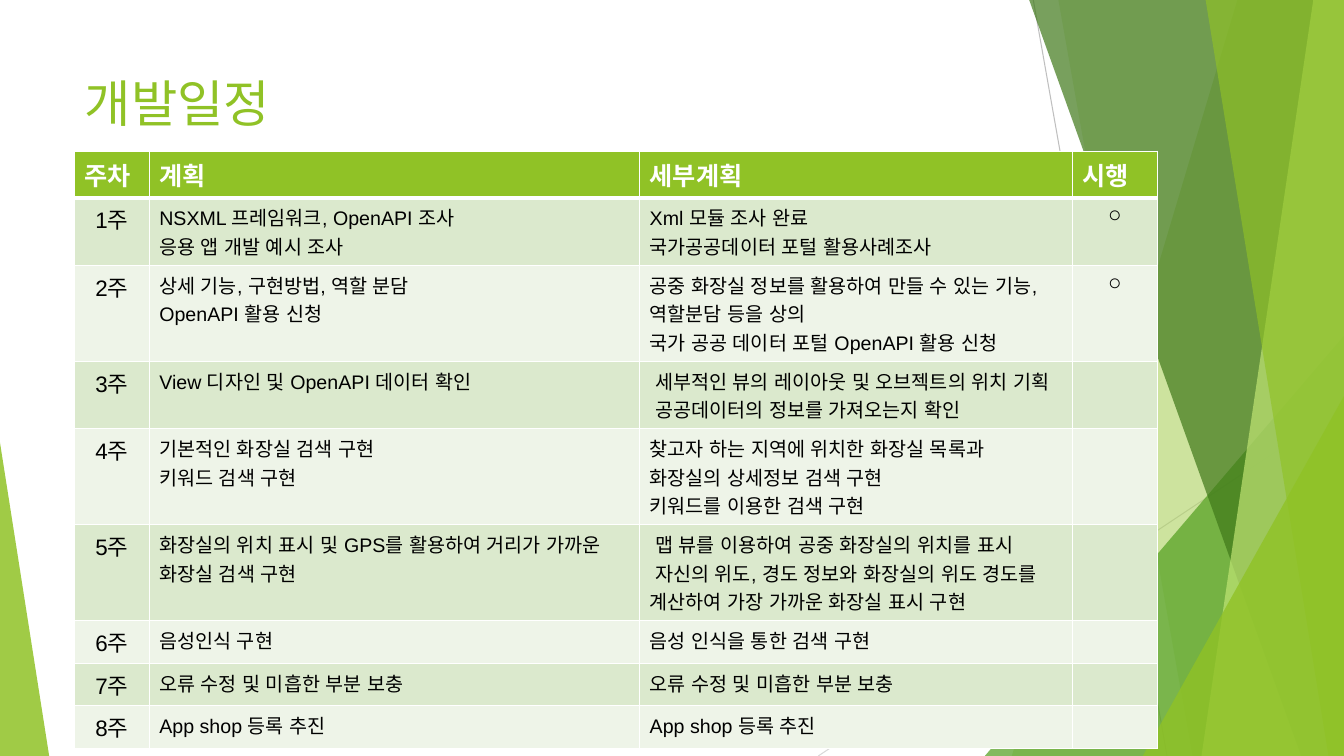
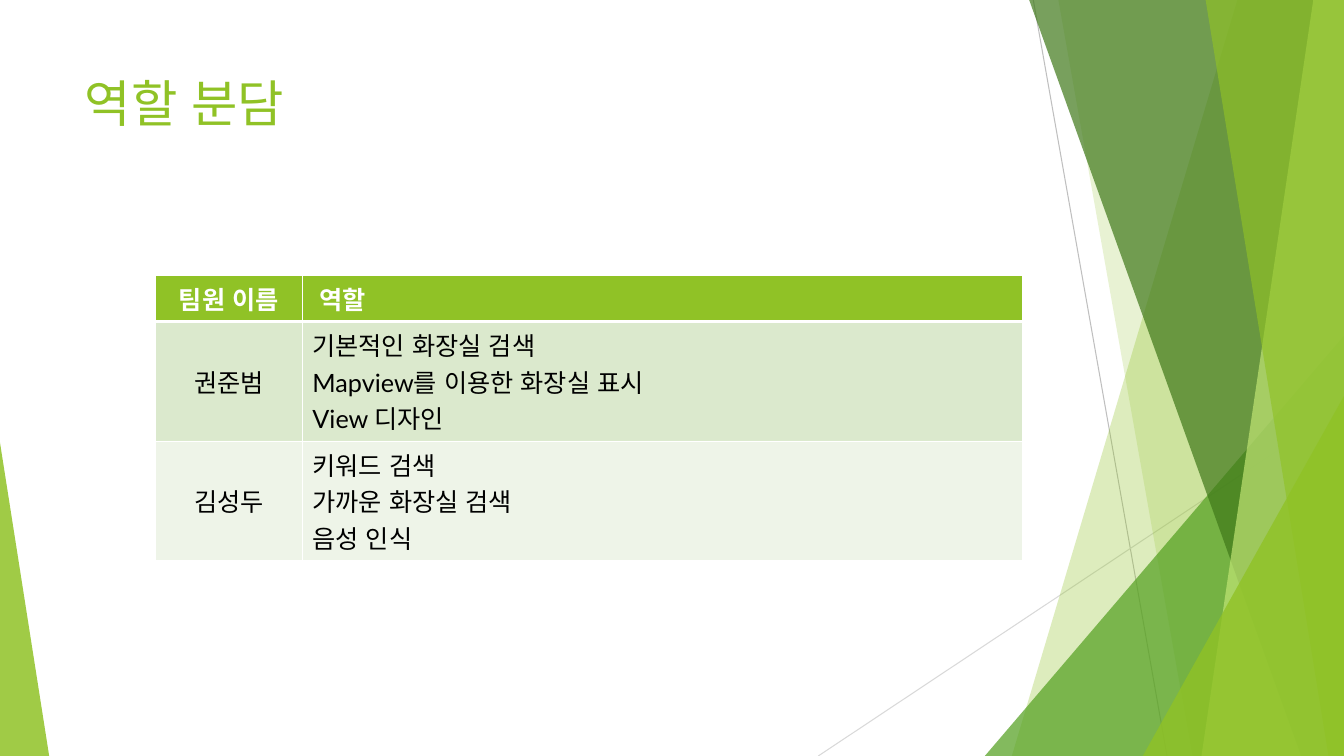
"""Build the development schedule and role sharing slides of an app project."""
from dataclasses import dataclass

from lxml import etree
from pptx import Presentation
from pptx import util as u
from pptx.dml.color import RGBColor
from pptx.enum import lang, shapes, text
from pptx.oxml.ns import qn

COLOURS = {
    "green": "90C226", "leaf": "54A021", "forest": "3F7819", "lime": "C0E474",
    "white": "FFFFFF", "black": "000000", "odd_row": "DBE9CD",
    "even_row": "EEF4E8", "dark_line": "BFBFBF", "light_line": "D9D9D9",
}
WIDTH, HEIGHT, BAND_TOP = 33.87, 19.05, -0.02
TITLE_BOX = (1.88, 1.7, 23.88, 3.66)
LEFT, CENTRE = text.PP_ALIGN.LEFT, text.PP_ALIGN.CENTER
TOP, MIDDLE = text.MSO_ANCHOR.TOP, text.MSO_ANCHOR.MIDDLE


@dataclass(frozen=True)
class Ray:
    start: tuple[float, float]
    end: tuple[float, float]
    colour: str


@dataclass(frozen=True)
class Band:
    top_x: float
    bottom_x: float
    colour: str
    opacity: int


@dataclass(frozen=True)
class Wedge:
    box: tuple[float, float, float, float]
    peak: float
    colour: str
    opacity: int


@dataclass(frozen=True)
class Column:
    heading: str
    width: float
    size: int
    align: text.PP_ALIGN = LEFT
    heading_align: text.PP_ALIGN = LEFT
    anchor: text.MSO_ANCHOR = TOP


@dataclass(frozen=True)
class Page:
    title: str
    left: float
    top: float
    font: str
    columns: list[Column]
    heights: list[float]
    rows: list[tuple[str, ...]]


DECORATION = [
    Ray((26.04, 0), (29.41, HEIGHT), "dark_line"),
    Ray((WIDTH, 10.24), (20.62, HEIGHT), "light_line"),
    Band(31.19, 25.5, "green", 30),
    Band(26.67, 30.05, "green", 20),
    Wedge((24.82, 8.46, 9.05, 10.59), 1, "leaf", 72),
    Band(25.93, 32.79, "forest", 70),
    Band(33.1, 30.28, "lime", 70),
    Band(30.38, 33.48, "green", 65),
    Wedge((28.8, 9.98, 5.07, 9.07), 1, "green", 80),
    Wedge((0, 11.15, 1.24, 7.9), 0, "green", 85),
]

SCHEDULE = Page(
    "개발일정", 1.88, 3.81, "Arial",
    [Column("주차", 1.88, 16, CENTRE), Column("계획", 12.36, 14),
     Column("세부계획", 10.9, 14), Column("시행", 2.15, 16, CENTRE)],
    [1.16, 1.7, 2.42, 1.7, 2.42, 2.42, 1.07, 1.07, 1.05],
    [
        ("1주", "NSXML 프레임워크, OpenAPI 조사\n응용 앱 개발 예시 조사",
         "Xml 모듈 조사 완료\n국가공공데이터 포털 활용사례조사", "○"),
        ("2주", "상세 기능, 구현방법, 역할 분담\nOpenAPI 활용 신청",
         "공중 화장실 정보를 활용하여 만들 수 있는 기능, 역할분담 등을 상의\n"
         "국가 공공 데이터 포털 OpenAPI 활용 신청", "○"),
        ("3주", "View 디자인 및 OpenAPI 데이터 확인",
         " 세부적인 뷰의 레이아웃 및 오브젝트의 위치 기획\n"
         " 공공데이터의 정보를 가져오는지 확인", ""),
        ("4주", "기본적인 화장실 검색 구현\n키워드 검색 구현",
         "찾고자 하는 지역에 위치한 화장실 목록과 화장실의 상세정보 검색 구현\n"
         "키워드를 이용한 검색 구현", ""),
        ("5주", "화장실의 위치 표시 및 GPS를 활용하여 거리가 가까운 화장실 검색 구현",
         " 맵 뷰를 이용하여 공중 화장실의 위치를 표시\n"
         " 자신의 위도, 경도 정보와 화장실의 위도 경도를 계산하여 "
         "가장 가까운 화장실 표시 구현", ""),
        ("6주", "음성인식 구현", "음성 인식을 통한 검색 구현", ""),
        ("7주", "오류 수정 및 미흡한 부분 보충", "오류 수정 및 미흡한 부분 보충", ""),
        ("8주", "App shop 등록 추진", "App shop 등록 추진", ""),
    ],
)

ROLES = Page(
    "역할 분담", 3.91, 6.93, "Lato",
    [Column("팀원 이름", 3.71, 18, CENTRE, CENTRE, MIDDLE),
     Column(" 역할", 18.16, 18)],
    [1.16, 3, 3],
    [
        ("권준범", "기본적인 화장실 검색\nMapview를 이용한 화장실 표시\nView 디자인"),
        ("김성두", "키워드 검색\n가까운 화장실 검색\n음성 인식"),
    ],
)


def rgb(name: str) -> RGBColor:
    """Return a named colour."""
    return RGBColor.from_string(COLOURS[name])


def lengths(*values: float) -> list[u.Length]:
    """Turn centimetres into lengths."""
    return [u.Cm(value) for value in values]


def write(frame, content: str, *, font: str, size: int, colour: str = "black",
          bold: bool = False, align: text.PP_ALIGN = LEFT) -> None:
    """Write each line of the content as a formatted paragraph."""
    for index, line in enumerate(content.split("\n")):
        paragraph = frame.add_paragraph() if index else frame.paragraphs[0]
        paragraph.alignment = align
        if line:
            run = paragraph.add_run()
            run.text = line
            run.font.name, run.font.size = font, u.Pt(size)
            run.font.bold = bold
            run.font.color.rgb = rgb(colour)
            run.font.language_id = lang.MSO_LANGUAGE_ID.KOREAN


def paint(shape, colour: str, opacity: int) -> None:
    """Give a shape a translucent fill without line or shadow."""
    shape.shadow.inherit = False
    shape.line.fill.background()
    shape.fill.solid()
    shape.fill.fore_color.rgb = rgb(colour)
    tone = shape.element.spPr.find(f"{qn('a:solidFill')}/{qn('a:srgbClr')}")
    etree.SubElement(tone, qn("a:alpha"), val=str(opacity * 1000))


def draw_ray(canvas, ray: Ray):
    """Draw a thin straight line."""
    connector = canvas.add_connector(
        shapes.MSO_CONNECTOR.STRAIGHT, *lengths(*ray.start, *ray.end))
    connector.line.color.rgb = rgb(ray.colour)
    connector.line.width = u.Pt(0.75)
    etree.SubElement(connector.element.spPr, qn("a:effectLst"))
    return connector


def draw_band(canvas, band: Band):
    """Draw a band that runs from a slanted edge to the right side."""
    builder = canvas.build_freeform(*lengths(band.top_x, BAND_TOP))
    corners = [(WIDTH, BAND_TOP), (WIDTH, HEIGHT), (band.bottom_x, HEIGHT)]
    builder.add_line_segments([lengths(*corner) for corner in corners], close=True)
    outline = builder.convert_to_shape()
    paint(outline, band.colour, band.opacity)
    return outline


def draw_wedge(canvas, wedge: Wedge):
    """Draw a right-angled triangle."""
    triangle = canvas.add_shape(
        shapes.MSO_SHAPE.ISOSCELES_TRIANGLE, *lengths(*wedge.box))
    triangle.adjustments[0] = wedge.peak
    paint(triangle, wedge.colour, wedge.opacity)
    return triangle


PAINTERS = {Ray: draw_ray, Band: draw_band, Wedge: draw_wedge}


def decorate(layout, canvas) -> None:
    """Draw the shared decoration and move it behind the layout's placeholders."""
    for index, part in enumerate(DECORATION):
        drawn = PAINTERS[type(part)](canvas, part)
        layout.shapes.element.insert(2 + index, drawn.element)


def place_title(layout) -> None:
    """Move the title placeholder of the layout."""
    title = layout.placeholders[0]
    title.left, title.top, title.width, title.height = lengths(*TITLE_BOX)
    title.text_frame.vertical_anchor = TOP


def border_cell(cell, weights: dict[str, int]) -> None:
    """Add white borders of the given point widths to a cell."""
    properties = cell._tc.get_or_add_tcPr()
    for index, (side, points) in enumerate(weights.items()):
        edge = etree.Element(qn(f"a:ln{side}"), w=str(u.Pt(points)))
        fill = etree.SubElement(edge, qn("a:solidFill"))
        etree.SubElement(fill, qn("a:srgbClr"), val=COLOURS["white"])
        properties.insert(index, edge)


def fill_cell(cell, page: Page, row: int, column: Column, content: str) -> None:
    """Format and fill one heading or body cell."""
    cell.fill.solid()
    if row == 0:
        cell.fill.fore_color.rgb = rgb("green")
        write(cell.text_frame, content, font="Lato", size=18, colour="white",
              bold=True, align=column.heading_align)
    else:
        cell.fill.fore_color.rgb = rgb("odd_row" if row % 2 else "even_row")
        cell.vertical_anchor = column.anchor
        write(cell.text_frame, content, font=page.font, size=column.size,
              align=column.align)
    border_cell(cell, {"L": 1, "R": 1, "T": 3 if row == 1 else 1,
                       "B": 3 if row == 0 else 1})


def build_page(slide, page: Page) -> None:
    """Write the title and the table of a page."""
    write(slide.shapes.title.text_frame, page.title, font="Lato", size=36,
          colour="green")
    widths = [column.width for column in page.columns]
    table = slide.shapes.add_table(
        len(page.heights), len(widths),
        *lengths(page.left, page.top, sum(widths), sum(page.heights))).table
    table.horz_banding = False
    for slot, width in zip(table.columns, widths):
        slot.width = u.Cm(width)
    for slot, height in zip(table.rows, page.heights):
        slot.height = u.Cm(height)
    headings = tuple(column.heading for column in page.columns)
    for row, contents in enumerate([headings, *page.rows]):
        for index, content in enumerate(contents):
            fill_cell(table.cell(row, index), page, row, page.columns[index], content)


def main() -> None:
    """Build and save the deck."""
    deck = Presentation()
    deck.slide_width, deck.slide_height = lengths(WIDTH, HEIGHT)
    layout = deck.slide_layouts.get_by_name("Title Only")
    place_title(layout)
    slides = [deck.slides.add_slide(layout) for _ in range(2)]
    decorate(layout, slides[0].shapes)
    for slide, page in zip(slides, (SCHEDULE, ROLES)):
        build_page(slide, page)
    deck.save("out.pptx")


main()
